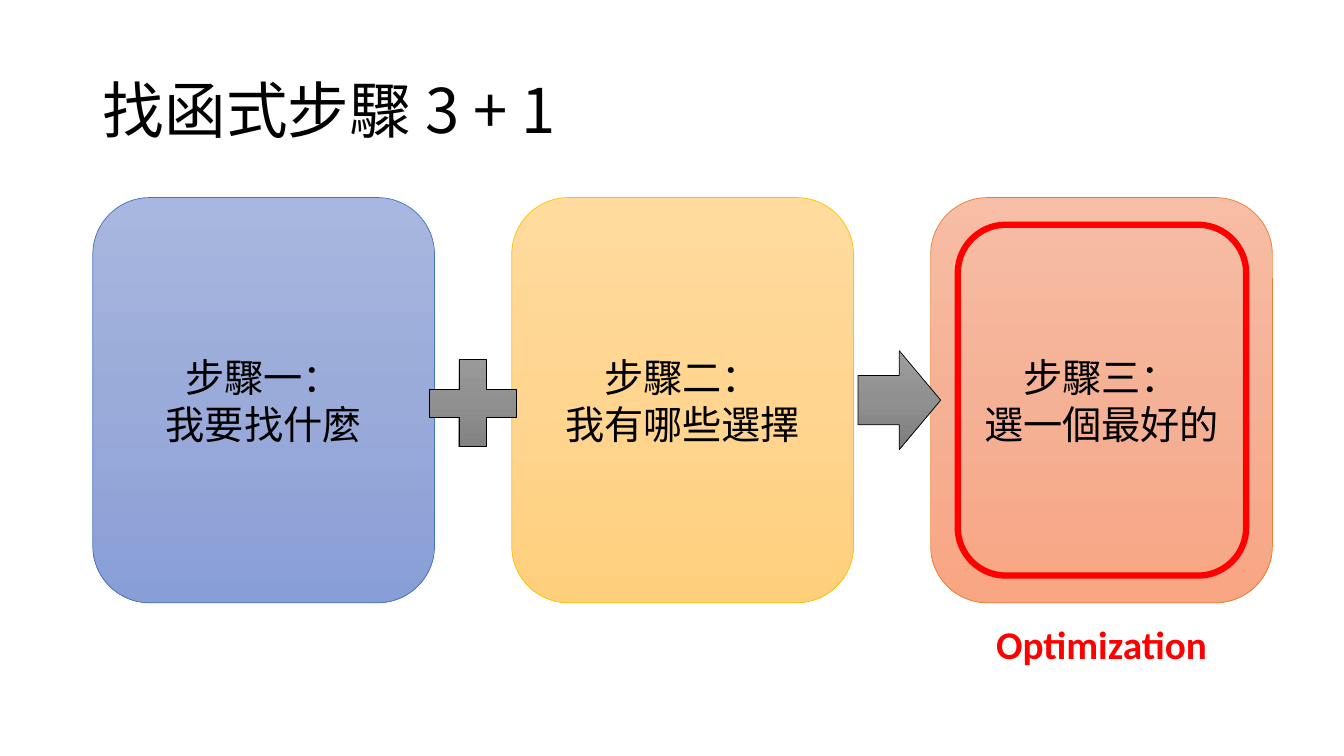
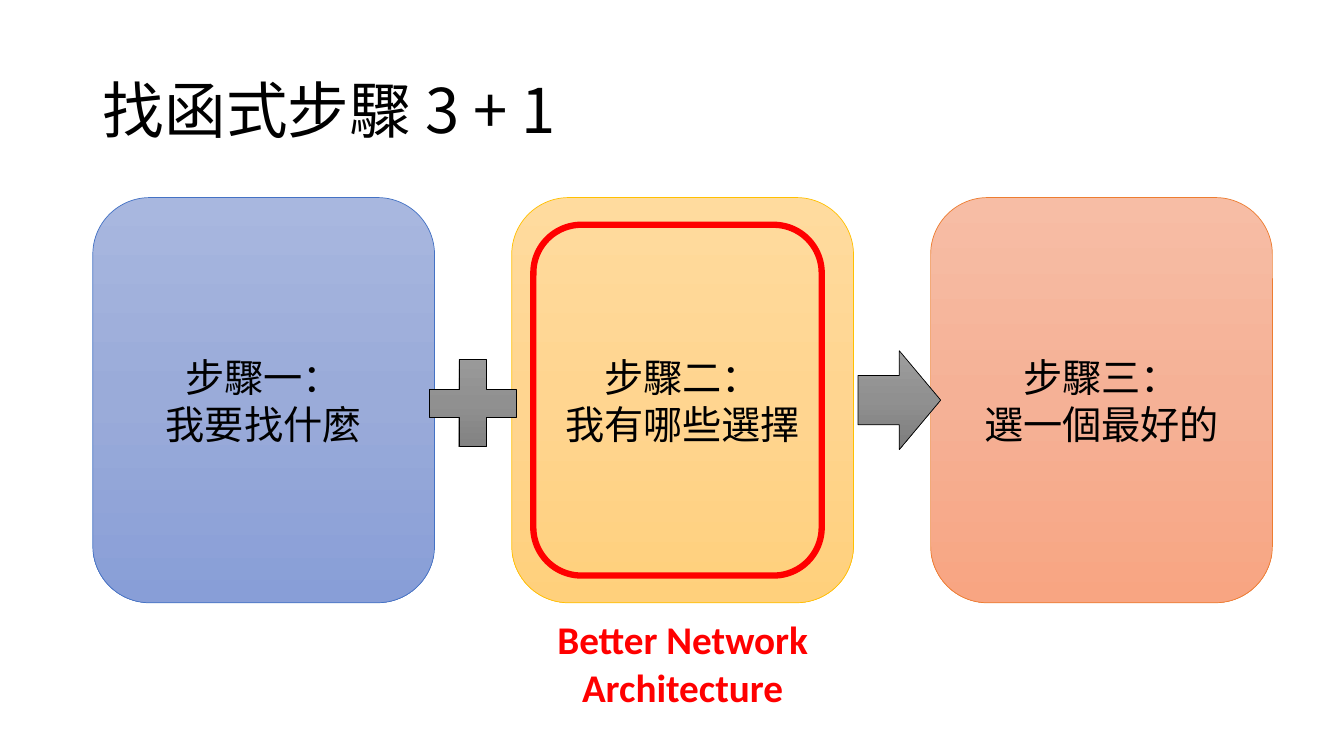
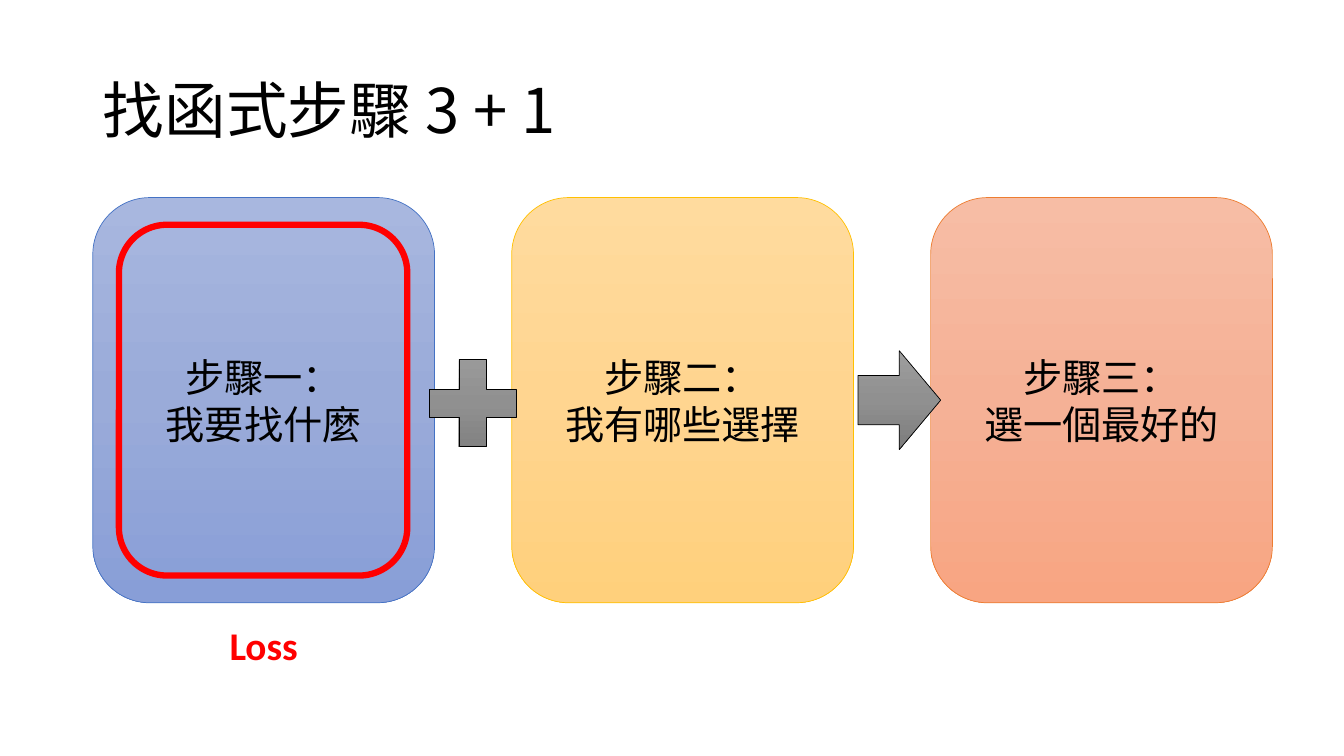
"""Build three slides that highlight one step each of finding a function."""
from copy import deepcopy

from lxml import etree
from pptx import Presentation
from pptx.dml.color import RGBColor
from pptx.enum.shapes import MSO_SHAPE
from pptx.enum.text import MSO_ANCHOR, MSO_AUTO_SIZE, PP_ALIGN
from pptx.oxml.ns import qn
from pptx.util import Inches, Pt

ROUNDED = MSO_SHAPE.ROUNDED_RECTANGLE
ARROW = MSO_SHAPE.RIGHT_ARROW
PLUS = MSO_SHAPE.MATH_PLUS
MIDDLE = MSO_ANCHOR.MIDDLE
GROW = MSO_AUTO_SIZE.SHAPE_TO_FIT_TEXT
LEFT, CENTER = PP_ALIGN.LEFT, PP_ALIGN.CENTER

BLACK = RGBColor(0x00, 0x00, 0x00)
RED = RGBColor(0xFF, 0x00, 0x00)
BLUE = RGBColor(0x44, 0x72, 0xC4)
GOLD = RGBColor(0xFF, 0xC0, 0x00)
ORANGE = RGBColor(0xED, 0x7D, 0x31)
BLUE_FADE = (RGBColor(0xA8, 0xB7, 0xDF), RGBColor(0x9A, 0xAB, 0xD9), RGBColor(0x88, 0x9E, 0xD7))
GOLD_FADE = (RGBColor(0xFF, 0xDB, 0x9E), RGBColor(0xFF, 0xD5, 0x90), RGBColor(0xFF, 0xD0, 0x7C))
ORANGE_FADE = (RGBColor(0xF7, 0xBD, 0xA5), RGBColor(0xF5, 0xB1, 0x96), RGBColor(0xF8, 0xA5, 0x82))
GRAY_FADE = (RGBColor(0x9D, 0x9D, 0x9D), RGBColor(0x90, 0x90, 0x90), RGBColor(0x7C, 0x7C, 0x7C))

CJK_FONT = "Noto Sans CJK SC"
LATIN_FONT = "Calibri"

CARD_LEFT, CARD_TOP, CARD_WIDTH, CARD_HEIGHT = 0.92, 1.96, 3.39, 4.02
CARD_STEP = (9.23 - CARD_LEFT) / 2
STEPS = (
    (("步驟一：", "我要找什麼"), BLUE_FADE, BLUE),
    (("步驟二：", "我有哪些選擇"), GOLD_FADE, GOLD),
    (("步驟三：", "選一個最好的"), ORANGE_FADE, ORANGE),
)
HIGHLIGHTS = (
    dict(step=2, frame_left=9.5, caption="Optimization", top=6.1, width=2.4, height=0.57),
    dict(step=1, frame_left=5.29, caption="Better Network Architecture", top=6.06, width=4.68, height=1.04),
    dict(step=0, frame_left=1.18, caption="Loss", top=6.11, width=4.68, height=0.57),
)


def write(frame, *lines, size=28, font=CJK_FONT, color=BLACK, bold=False, align=CENTER, spacing=None):
    """Fill a text frame with one formatted paragraph per line."""
    frame.word_wrap = True
    for index, line in enumerate(lines):
        paragraph = frame.add_paragraph() if index else frame.paragraphs[0]
        paragraph.alignment = align
        paragraph.line_spacing = spacing
        run = paragraph.add_run()
        run.text = line
        run.font.size = Pt(size)
        run.font.bold = bold
        run.font.color.rgb = color
        run.font.name = font
        east_asian = etree.SubElement(run.font._element, qn("a:ea"))
        east_asian.set("typeface", font)


class Deck:
    """Hold the presentation, its shared style and the current slide."""

    def __init__(self):
        """Start an empty widescreen presentation."""
        self.presentation = Presentation()
        self.presentation.slide_width = Inches(13.33)
        self.presentation.slide_height = Inches(7.5)
        self.slide = None

    def add_slide(self, title):
        """Add a title-only slide and format its title."""
        self.slide = self.presentation.slides.add_slide(self.presentation.slide_layouts[5])
        heading = self.slide.shapes.title
        heading.left, heading.top = Inches(0.92), Inches(0.4)
        heading.width, heading.height = Inches(11.5), Inches(1.45)
        heading.text_frame.vertical_anchor = MIDDLE
        write(heading.text_frame, title, size=44, align=LEFT, spacing=0.9)

    def shape(self, kind, left, top, width, height, line, weight=0.5, fade=None):
        """Add an outlined shape, hollow or with a vertical gradient."""
        shape = self.slide.shapes.add_shape(kind, Inches(left), Inches(top), Inches(width), Inches(height))
        shape.shadow.inherit = False
        shape.line.color.rgb = line
        shape.line.width = Pt(weight)
        if fade is None:
            shape.fill.background()
            return shape
        shape.fill.gradient()
        shape.fill.gradient_angle = 270
        stop_list = shape._element.spPr.find(".//" + qn("a:gsLst"))
        stop_list.insert(1, deepcopy(stop_list[0]))
        for stop, color, position in zip(shape.fill.gradient_stops, fade, (0, 0.5, 1)):
            stop.color.rgb = color
            stop.position = position
        return shape

    def card(self, index, lines, fade, line):
        """Add the card of one step."""
        left = CARD_LEFT + index * CARD_STEP
        card = self.shape(ROUNDED, left, CARD_TOP, CARD_WIDTH, CARD_HEIGHT, line, fade=fade)
        card.text_frame.vertical_anchor = MIDDLE
        write(card.text_frame, *lines)

    def highlight(self, step, frame_left, caption, top, width, height):
        """Frame one step in red and caption it below its card."""
        self.shape(ROUNDED, frame_left, 2.23, 2.86, 3.48, RED, weight=4.5)
        left = CARD_LEFT + step * CARD_STEP + (CARD_WIDTH - width) / 2
        label = self.slide.shapes.add_textbox(Inches(left), Inches(top), Inches(width), Inches(height))
        label.text_frame.auto_size = GROW
        write(label.text_frame, caption, font=LATIN_FONT, color=RED, bold=True)


def main():
    """Build and save the slides."""
    deck = Deck()
    for highlight in HIGHLIGHTS:
        deck.add_slide("找函式步驟 3 + 1")
        for index, step in enumerate(STEPS):
            deck.card(index, *step)
        deck.shape(ARROW, 8.51, 3.48, 0.82, 0.98, BLACK, fade=GRAY_FADE)
        deck.shape(PLUS, 4.1, 3.41, 1.18, 1.18, BLACK, fade=GRAY_FADE)
        deck.highlight(**highlight)
    deck.presentation.save("out.pptx")


if __name__ == "__main__":
    main()
